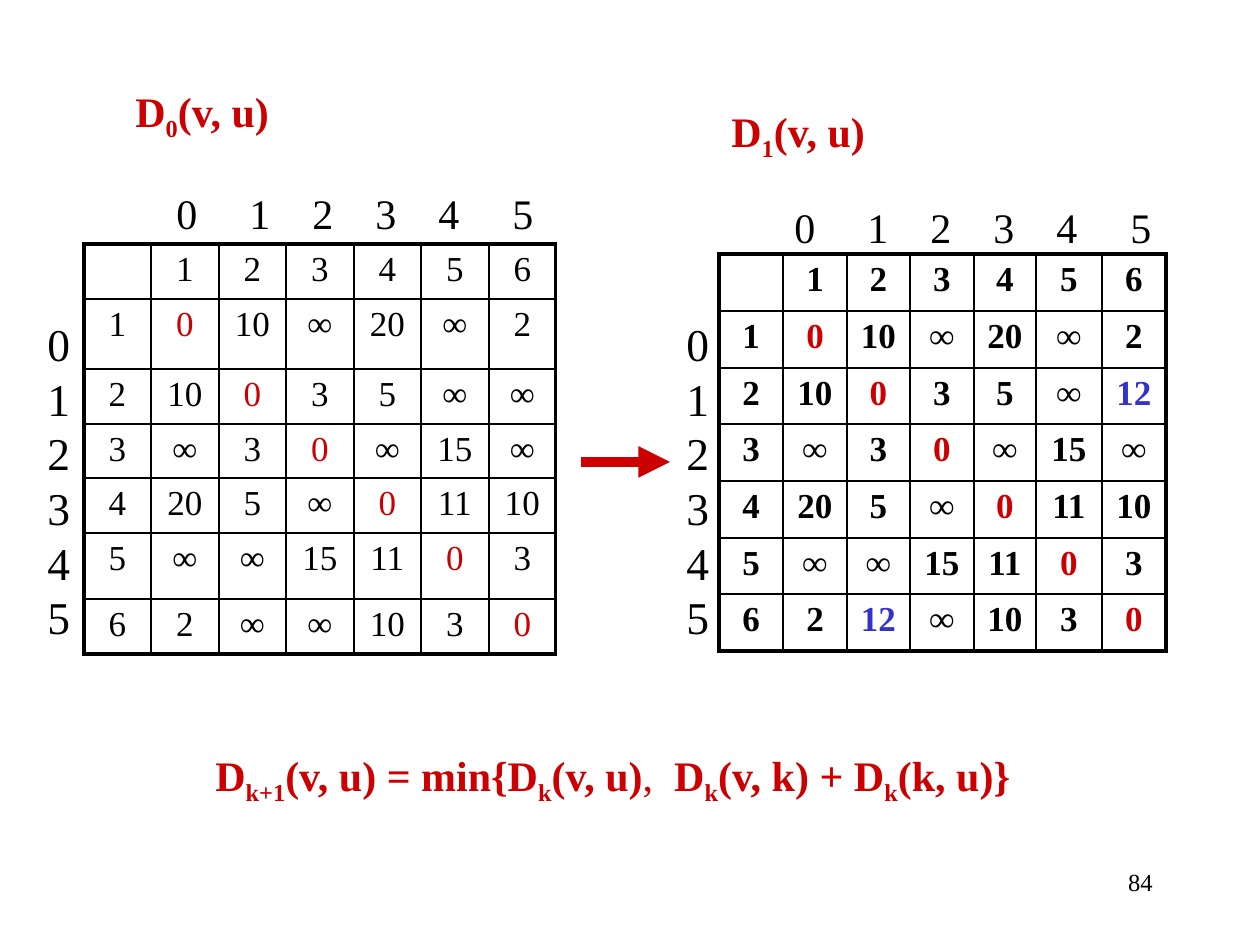
"""Builds a slide showing one step of an all-pairs shortest path computation."""
from itertools import product

from lxml import etree
from pptx import Presentation, util as u
from pptx.dml.color import RGBColor
from pptx.enum import shapes, text
from pptx.oxml import ns

RED = RGBColor(0xCC, 0x00, 0x00)
BLUE = RGBColor(0x33, 0x33, 0xCC)
BLACK = RGBColor(0, 0, 0)
FONT = "Times New Roman"
SLIDE_W, SLIDE_H = 1260, 945

D0 = [
    ["", "1", "2", "3", "4", "5", "6"],
    ["1", "0", "10", "∞", "20", "∞", "2"],
    ["2", "10", "0", "3", "5", "∞", "∞"],
    ["3", "∞", "3", "0", "∞", "15", "∞"],
    ["4", "20", "5", "∞", "0", "11", "10"],
    ["5", "∞", "∞", "15", "11", "0", "3"],
    ["6", "2", "∞", "∞", "10", "3", "0"],
]
UPDATES = {(2, 6): "12", (6, 2): "12"}
D1 = [[UPDATES.get((i, j), v) for j, v in enumerate(row)] for i, row in enumerate(D0)]

MATRICES = [
    dict(values=D0, at=(84, 244), bold=False,
         cols=[67, 68, 67, 68, 67, 68, 67], rows=[55, 70, 55, 54, 55, 66, 55],
         name="0", name_at=(123, 86), heads_at=(164, 181), sides_at=(35, 310)),
    dict(values=D1, at=(719, 254), bold=True,
         cols=[64, 64, 63, 64, 62, 66, 64], rows=[57, 57, 56, 57, 57, 56, 57],
         name="1", name_at=(719, 106), heads_at=(782, 195), sides_at=(674, 310)),
]
INDICES = ["0", "1", "2", "3", "4", "5"]
HEAD_TABS = [73, 136, 199, 262, 336]
FORMULA = [("D", {}), ("k+1", {"sub": True}), ("(v, u) = min{D", {}), ("k", {"sub": True}),
           ("(v, u)", {}), (",  ", {"bold": False}), ("D", {}), ("k", {"sub": True}),
           ("(v, k) + D", {}), ("k", {"sub": True}), ("(k, u)}", {})]
TITLE = {"size": 24, "bold": True, "color": RED}
ARROW = (581, 462, 670, 462)


def px(n):
    return u.Emu(round(n * 914400 / 126))


def child(parent, tag, **attrs):
    return etree.SubElement(parent, ns.qn(tag), {k: str(v) for k, v in attrs.items()})


def add_run(p, content, size=24, bold=False, color=BLACK, sub=False):
    r = p.add_run()
    r.text = content
    for key, value in {"name": FONT, "size": u.Pt(size), "bold": bold}.items():
        setattr(r.font, key, value)
    r.font.color.rgb = color
    if sub:
        r.font._element.set("baseline", "-25000")


def add_text(s, box, lines, align=text.PP_ALIGN.LEFT, **style):
    tf = s.shapes.add_textbox(*map(px, box)).text_frame
    tf.word_wrap = True
    for i, line in enumerate(lines):
        p = tf.paragraphs[0] if i == 0 else tf.add_paragraph()
        p.alignment = align
        p.line_spacing = u.Pt(round(style["size"] * 1.2, 1))
        for content, changes in line:
            add_run(p, content, **{**style, **changes})
    return tf


def add_column_heads(s, at):
    tf = add_text(s, (*at, 403, 63), [[("\t".join(INDICES), {})]], size=24)
    tabs = child(tf.paragraphs[0]._p.get_or_add_pPr(), "a:tabLst")
    for stop in HEAD_TABS:
        child(tabs, "a:tab", pos=px(stop), algn="l")


def add_borders(cell, outer):
    tcPr = cell._tc.get_or_add_tcPr()
    for tag, is_outer in outer.items():
        ln = child(tcPr, tag, w=u.Pt(2.25 if is_outer else 1))
        child(child(ln, "a:solidFill"), "a:srgbClr", val=BLACK)


def add_matrix(s, values, at, cols, rows, bold):
    n = len(values)
    size = (sum(cols), sum(rows))
    table = s.shapes.add_table(n, n, *map(px, at + size)).table
    table.first_row = table.horz_banding = False
    for i in range(n):
        table.columns[i].width = px(cols[i])
        table.rows[i].height = px(rows[i])
    for i, j in product(range(n), repeat=2):
        cell = table.cell(i, j)
        add_borders(cell, {"a:lnL": j == 0, "a:lnR": j == n - 1,
                           "a:lnT": i == 0, "a:lnB": i == n - 1})
        cell.fill.background()
        p = cell.text_frame.paragraphs[0]
        p.alignment = text.PP_ALIGN.CENTER
        color = RED if values[i][j] == "0" else BLUE if values[i][j] == "12" else BLACK
        if values[i][j]:
            add_run(p, values[i][j], 20, bold, color)


def add_arrow(s, ends):
    line = s.shapes.add_connector(shapes.MSO_CONNECTOR.STRAIGHT, *map(px, ends))
    line.line.color.rgb = RED
    line.line.width = u.Pt(6)
    child(line.line._get_or_add_ln(), "a:tailEnd", type="triangle")
    child(line._element.spPr, "a:effectLst")


def main():
    prs = Presentation()
    prs.slide_width, prs.slide_height = px(SLIDE_W), px(SLIDE_H)
    s = prs.slides.add_slide(prs.slide_layouts[6])
    for m in MATRICES:
        add_matrix(s, m["values"], m["at"], m["cols"], m["rows"], m["bold"])
        name = [("D", {}), (m["name"], {"sub": True}), ("(v, u)", {})]
        add_text(s, (*m["name_at"], 483, 63), [name], **TITLE)
        add_column_heads(s, m["heads_at"])
        add_text(s, (*m["sides_at"], 105, 340), [[(i, {})] for i in INDICES], size=26)
    add_arrow(s, ARROW)
    add_text(s, (203, 750, 839, 63), [FORMULA], **TITLE)
    add_text(s, (903, 861, 262, 63), [[("84", {})]], text.PP_ALIGN.RIGHT, size=14)
    prs.save("out.pptx")


if __name__ == "__main__":
    main()
